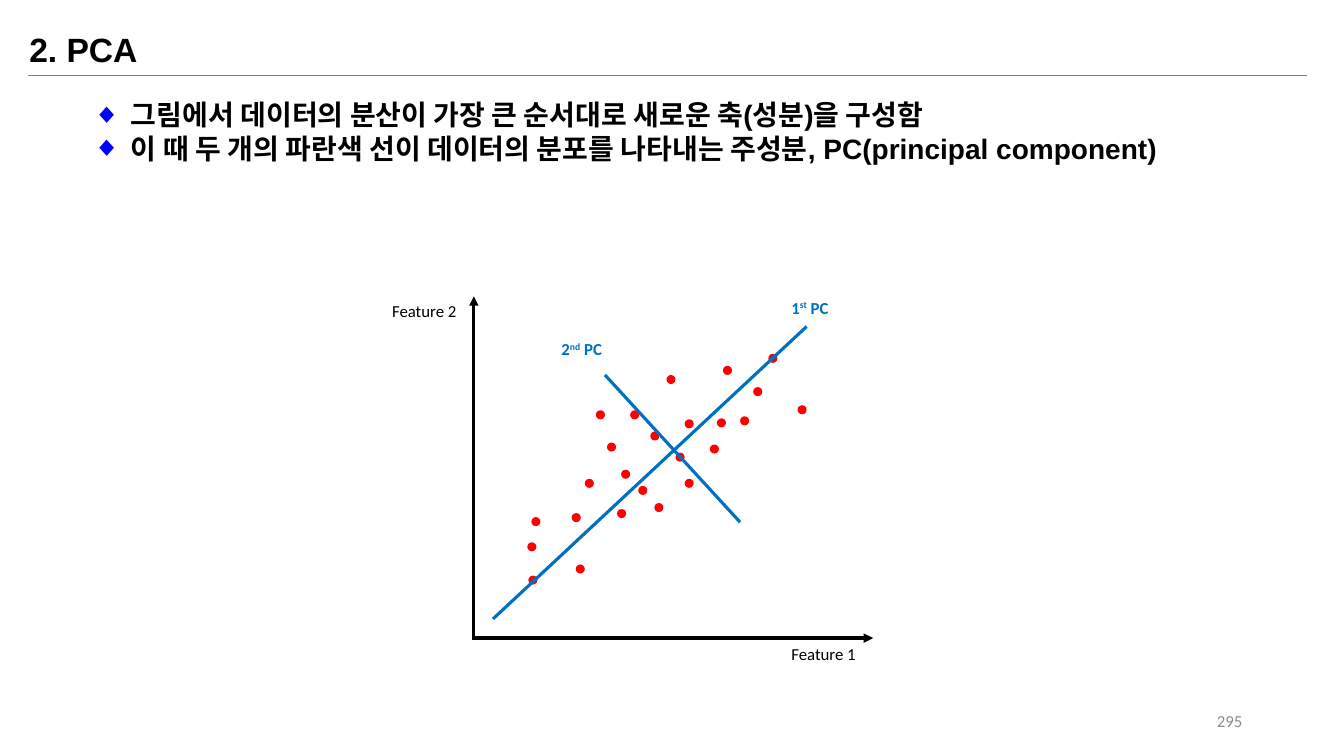
from dataclasses import dataclass

from lxml import etree
from pptx import Presentation
from pptx.dml.color import RGBColor
from pptx.enum.shapes import MSO_CONNECTOR, MSO_SHAPE
from pptx.enum.text import MSO_ANCHOR, MSO_AUTO_SIZE, PP_ALIGN
from pptx.oxml.ns import qn
from pptx.util import Inches, Pt

STRAIGHT = MSO_CONNECTOR.STRAIGHT
OVAL = MSO_SHAPE.OVAL
TOP, MIDDLE = MSO_ANCHOR.TOP, MSO_ANCHOR.MIDDLE
LEFT, RIGHT = PP_ALIGN.LEFT, PP_ALIGN.RIGHT
NO_FIT = MSO_AUTO_SIZE.NONE


@dataclass(frozen=True)
class Theme:
    heading_font: str = "Arial"
    label_font: str = "Calibri"
    title_size: int = 24
    body_size: int = 20
    label_size: int = 12
    axis_width: float = 2.25
    rule_width: float = 0.5
    black: str = "000000"
    rule: str = "808080"
    page: str = "8C8C8C"
    bullet: str = "0000FF"
    point: str = "FF0000"
    component: str = "0070C0"


T = Theme()

BULLETS = [
    "그림에서 데이터의 분산이 가장 큰 순서대로 새로운 축(성분)을 구성함",
    "이 때 두 개의 파란색 선이 데이터의 분포를 나타내는 주성분, PC(principal component)",
]

# Left and top of each data point
POINT_SIZE = 0.09
POINTS = [
    (5.23, 5.38), (5.27, 5.13), (5.71, 5.6), (5.24, 5.71), (6.25, 4.07),
    (5.67, 5.09), (5.91, 4.07), (5.8, 4.75), (6.16, 4.66), (6.61, 3.72),
    (6.12, 5.05), (6.79, 4.16), (7.17, 3.63), (7.34, 4.13), (6.49, 4.99),
    (6.7, 4.49), (7.04, 4.41), (7.62, 3.51), (7.47, 3.84), (6.33, 4.82),
    (6.45, 4.28), (7.11, 4.15), (6.79, 4.75), (6.02, 4.39), (7.91, 4.02),
]


def add_run(p, text, font, size, color, bold=False, raised=False):
    r = p.add_run()
    r.text = text
    r.font.name = font
    r.font.size = Pt(size)
    r.font.bold = bold
    r.font.color.rgb = RGBColor.from_string(color)
    if raised:
        r.font._element.set("baseline", "30000")


def add_text_box(shapes, left, top, width, height, wrap=True):
    box = shapes.add_textbox(Inches(left), Inches(top), Inches(width), Inches(height))
    tf = box.text_frame
    tf.word_wrap = wrap
    return tf


def add_label(shapes, left, top, width, parts, color, bold=False):
    """Parts alternate between normal and raised text."""
    p = add_text_box(shapes, left, top, width, 0.3, wrap=False).paragraphs[0]
    for i, part in enumerate(parts):
        add_run(p, part, T.label_font, T.label_size, color, bold, raised=i % 2 == 1)


def add_line(shapes, start, end, color, width, arrow=False):
    line = shapes.add_connector(STRAIGHT, *map(Inches, start + end))
    line.line.color.rgb = RGBColor.from_string(color)
    line.line.width = Pt(width)
    if arrow:
        ln = line.line._get_or_add_ln()
        etree.SubElement(ln, qn("a:tailEnd"), type="triangle")
    etree.SubElement(line._element.spPr, qn("a:effectLst"))


def add_point(shapes, left, top):
    dot = shapes.add_shape(OVAL, Inches(left), Inches(top),
                           Inches(POINT_SIZE), Inches(POINT_SIZE))
    dot.shadow.inherit = False
    dot.fill.solid()
    dot.fill.fore_color.rgb = RGBColor.from_string(T.point)
    dot.line.fill.background()


def set_title(s, text):
    title = s.shapes.title
    title.left, title.top = Inches(0.19), Inches(0.24)
    title.width, title.height = Inches(9.15), Inches(0.5)
    tf = title.text_frame
    tf.auto_size = NO_FIT
    tf.vertical_anchor = TOP
    p = tf.paragraphs[0]
    p.alignment = LEFT
    add_run(p, text, T.heading_font, T.title_size, T.black, bold=True)


def add_bullets(s, items):
    tf = add_text_box(s.shapes, 0.82, 0.92, 11.82, 0.77)
    for i, item in enumerate(items):
        p = tf.paragraphs[0] if i == 0 else tf.add_paragraph()
        pPr = p._p.get_or_add_pPr()
        pPr.set("marL", str(Inches(0.38)))
        pPr.set("indent", str(-Inches(0.38)))
        color = etree.SubElement(pPr, qn("a:buClr"))
        etree.SubElement(color, qn("a:srgbClr"), val=T.bullet)
        etree.SubElement(pPr, qn("a:buFont"), typeface=T.heading_font)
        etree.SubElement(pPr, qn("a:buChar"), char="◆")
        add_run(p, item, T.heading_font, T.body_size, T.black, bold=True)


def add_page_number(s, number):
    tf = add_text_box(s.shapes, 9.42, 6.95, 3, 0.4)
    tf.vertical_anchor = MIDDLE
    p = tf.paragraphs[0]
    p.alignment = RIGHT
    add_run(p, number, T.label_font, T.label_size, T.page)


def add_scatter_diagram(s):
    shapes = s.shapes.add_group_shape().shapes

    # Axes
    add_line(shapes, (4.7, 6.35), (4.7, 2.94), T.black, T.axis_width, arrow=True)
    add_line(shapes, (4.71, 6.33), (8.66, 6.33), T.black, T.axis_width, arrow=True)
    add_label(shapes, 3.79, 2.93, 0.92, ["Feature 2"], T.black)
    add_label(shapes, 7.75, 6.34, 0.92, ["Feature 1"], T.black)

    # Data points
    for left, top in POINTS:
        add_point(shapes, left, top)

    # Principal components
    add_line(shapes, (4.89, 6.14), (8, 3.24), T.component, T.axis_width)
    add_label(shapes, 7.75, 2.9, 0.67, ["1", "st", " PC"], T.component, bold=True)
    add_line(shapes, (6, 3.72), (7.34, 5.18), T.component, T.axis_width)
    add_label(shapes, 5.47, 3.31, 0.71, ["2", "nd", " PC"], T.component, bold=True)


def main():
    prs = Presentation()
    prs.slide_width, prs.slide_height = Inches(13.33), Inches(7.5)
    s = prs.slides.add_slide(prs.slide_layouts[5])

    # Heading
    add_line(s.shapes, (0.28, 0.75), (12.96, 0.75), T.rule, T.rule_width)
    set_title(s, "2. PCA")

    # Content
    add_page_number(s, "295")
    add_bullets(s, BULLETS)
    add_scatter_diagram(s)

    prs.save("out.pptx")


if __name__ == "__main__":
    main()
